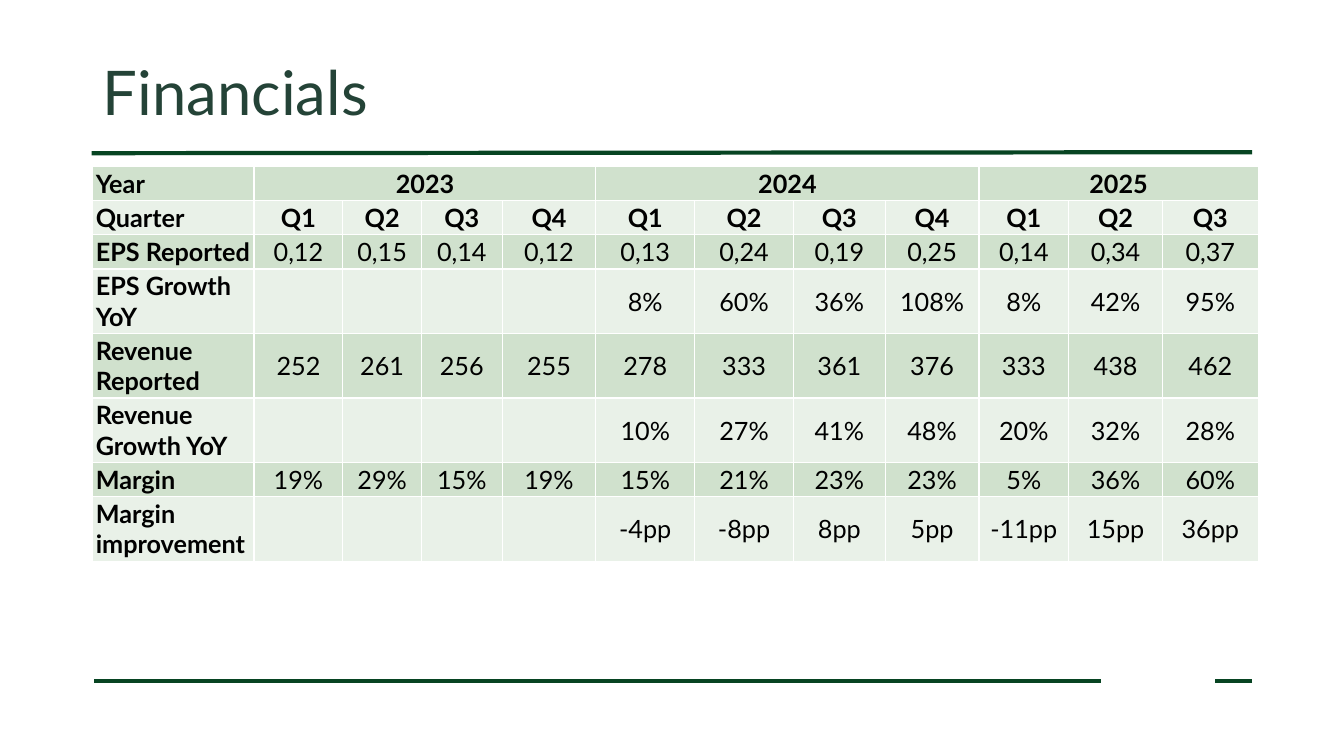
"""Build the Financials slide: a title, three rules and a quarterly results table."""
import dataclasses

import pptx
import pptx.dml.color
import pptx.enum.shapes
import pptx.enum.text
import pptx.oxml
import pptx.oxml.ns
import pptx.util

PX = 9144
FONT = "Lato"
COLORS = {
    "rule": "074422",
    "title": "244337",
    "text": "000000",
    "dark_band": "D0E1CD",
    "light_band": "E9F1E8",
    "border": "FFFFFF",
}
COLUMN_WIDTHS = [160, 88, 78, 80, 93, 98, 98, 91, 93, 89, 93, 95]
ROW_HEIGHT = 22
YEAR_SPANS = {1: 4, 5: 4, 9: 3}
HEADER_ROWS = 2
BLANK_YEAR = [""] * 4
ROWS = [
    ["Year", "2023", "", "", "", "2024", "", "", "", "2025", "", ""],
    ["Quarter", "Q1", "Q2", "Q3", "Q4", "Q1", "Q2", "Q3", "Q4", "Q1", "Q2", "Q3"],
    ["EPS Reported", "0,12", "0,15", "0,14", "0,12", "0,13", "0,24", "0,19", "0,25",
     "0,14", "0,34", "0,37"],
    ["EPS Growth YoY", *BLANK_YEAR, "8%", "60%", "36%", "108%", "8%", "42%", "95%"],
    ["Revenue Reported", "252", "261", "256", "255", "278", "333", "361", "376",
     "333", "438", "462"],
    ["Revenue Growth YoY", *BLANK_YEAR, "10%", "27%", "41%", "48%", "20%", "32%", "28%"],
    ["Margin", "19%", "29%", "15%", "19%", "15%", "21%", "23%", "23%", "5%", "36%", "60%"],
    ["Margin improvement", *BLANK_YEAR, "-4pp", "-8pp", "8pp", "5pp", "-11pp", "15pp", "36pp"],
]


@dataclasses.dataclass(frozen=True)
class Rule:
    """A straight line, in px."""
    x1: int
    y1: int
    x2: int
    y2: int


RULES = [
    Rule(1242, 151, 91, 152),
    Rule(1092, 676, 93, 676),
    Rule(1242, 676, 1205, 676),
]


def px(length: int) -> pptx.util.Emu:
    """Turn px into EMU."""
    return pptx.util.Emu(length * PX)


def color(name: str) -> pptx.dml.color.RGBColor:
    """Look up a named colour."""
    return pptx.dml.color.RGBColor.from_string(COLORS[name])


def format_text(frame, size: int, color_name: str, bold: bool) -> None:
    """Format every run of a text frame."""
    for paragraph in frame.paragraphs:
        for run in paragraph.runs:
            run.font.name = FONT
            run.font.size = pptx.util.Pt(size)
            run.font.bold = bold
            run.font.color.rgb = color(color_name)


def draw_rule(page, rule: Rule) -> None:
    """Draw one green rule without a shadow."""
    line = page.shapes.add_connector(
        pptx.enum.shapes.MSO_CONNECTOR.STRAIGHT,
        px(rule.x1), px(rule.y1), px(rule.x2), px(rule.y2))
    line.line.color.rgb = color("rule")
    line.line.width = pptx.util.Pt(3)
    line._element.spPr.append(pptx.oxml.parse_xml(
        f"<a:effectLst {pptx.oxml.ns.nsdecls('a')}/>"))


def draw_title(page, text: str) -> None:
    """Place and format the title."""
    title = page.shapes.title
    title.left, title.top, title.width, title.height = px(92), px(40), px(1150), px(110)
    frame = title.text_frame
    frame.text = text
    frame.vertical_anchor = pptx.enum.text.MSO_ANCHOR.MIDDLE
    paragraph = frame.paragraphs[0]
    paragraph.alignment = pptx.enum.text.PP_ALIGN.LEFT
    paragraph.line_spacing = 0.9
    format_text(frame, 44, "title", False)


def add_borders(cell) -> None:
    """Give a cell thin white borders on all sides."""
    properties = cell._tc.get_or_add_tcPr()
    for index, side in enumerate(("lnL", "lnR", "lnT", "lnB")):
        properties.insert(index, pptx.oxml.parse_xml(
            f"<a:{side} {pptx.oxml.ns.nsdecls('a')} w='12700'><a:solidFill>"
            f"<a:srgbClr val='{COLORS['border']}'/></a:solidFill></a:{side}>"))


def format_cell(cell, text: str, row: int, column: int) -> None:
    """Fill one table cell by its place in the grid."""
    heading = row < HEADER_ROWS or column == 0
    anchors = pptx.enum.text.MSO_ANCHOR
    cell.fill.solid()
    cell.fill.fore_color.rgb = color("light_band" if row % 2 else "dark_band")
    cell.margin_left = cell.margin_right = px(3)
    cell.margin_top = cell.margin_bottom = px(2)
    cell.vertical_anchor = anchors.BOTTOM if heading else anchors.MIDDLE
    add_borders(cell)
    if text:
        cell.text_frame.text = text
        aligns = pptx.enum.text.PP_ALIGN
        cell.text_frame.paragraphs[0].alignment = aligns.CENTER if column else aligns.LEFT
        format_text(cell.text_frame, 18, "text", heading)


def draw_table(page) -> None:
    """Draw the quarterly results table."""
    holder = page.shapes.add_table(
        len(ROWS), len(COLUMN_WIDTHS), px(92), px(165),
        px(sum(COLUMN_WIDTHS)), px(ROW_HEIGHT * len(ROWS)))
    table = holder.table
    table.first_row = table.horz_banding = False
    for column, width in zip(table.columns, COLUMN_WIDTHS):
        column.width = px(width)
    for row, texts in enumerate(ROWS):
        table.rows[row].height = px(ROW_HEIGHT)
        for column, text in enumerate(texts):
            format_cell(table.cell(row, column), text, row, column)
    for start, span in YEAR_SPANS.items():
        table.cell(0, start).merge(table.cell(0, start + span - 1))
    holder.height = px(423)


def main() -> None:
    """Build and save the deck."""
    deck = pptx.Presentation()
    deck.slide_width, deck.slide_height = px(1333), px(750)
    page = deck.slides.add_slide(deck.slide_layouts.get_by_name("Title Only"))
    for rule in RULES:
        draw_rule(page, rule)
    draw_title(page, "Financials")
    draw_table(page)
    deck.save("out.pptx")


if __name__ == "__main__":
    main()
